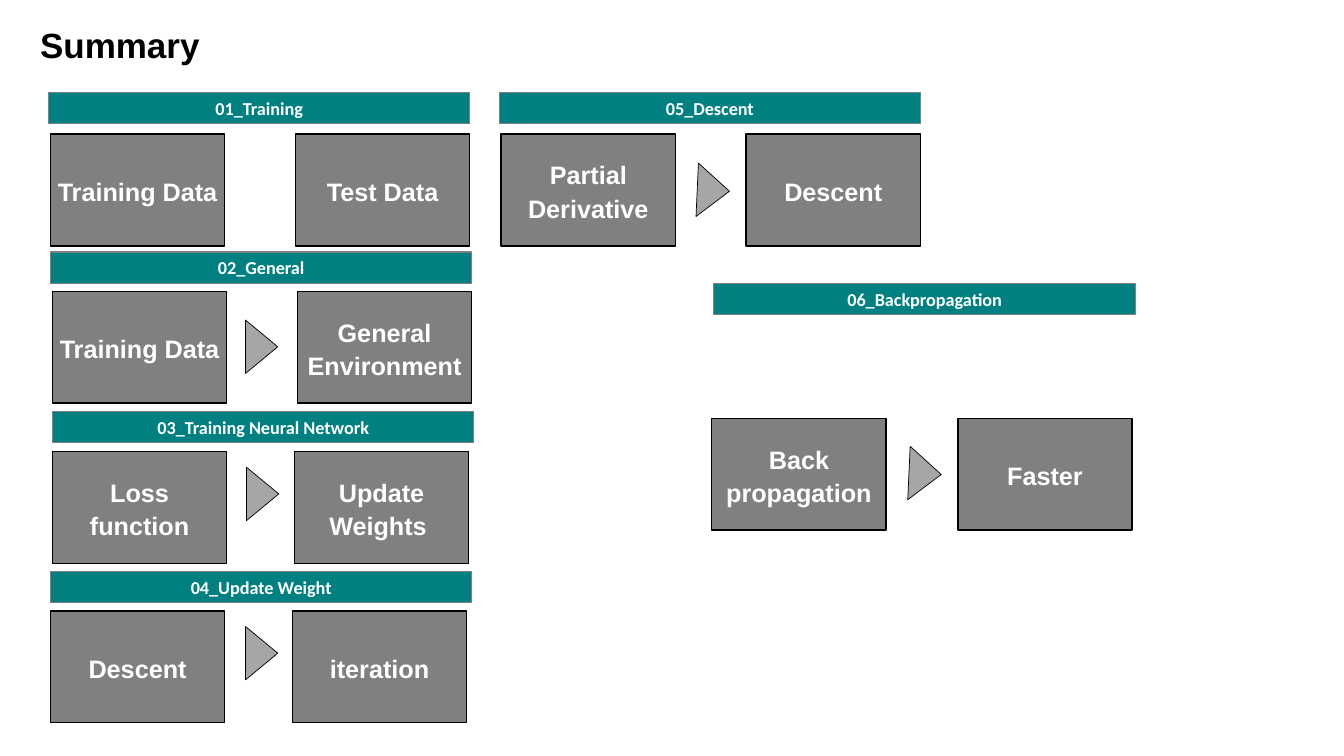
"""Build the summary slide: six titled steps, each with a pair of boxes."""
from dataclasses import dataclass
from typing import Optional

from pptx import Presentation
from pptx.dml.color import RGBColor as Rgb
from pptx.enum.shapes import MSO_SHAPE as Kind
from pptx.enum.text import MSO_ANCHOR as Anchor, PP_ALIGN as Align
from pptx.util import Inches, Pt

BOX_W, BOX_H, BOX_PAD = 1.73, 1.11, (0.05, 0.04)
BAR_W, BAR_H, BAR_PAD = 4.18, 0.31, (0.04, 0)
TIP_W, TIP_H = 0.53, 0.32
GRAY, TEAL, PALE = "808080", "008080", "A6A6A6"
BLACK, WHITE = "000000", "FFFFFF"


@dataclass
class Tip:
    left: float
    top: float
    turn: float = 270


@dataclass
class Step:
    title: str
    bar: tuple[float, float]
    names: tuple[str, str]
    lefts: tuple[float, float]
    top: float
    tip: Optional[Tip] = None


STEPS = [
    Step("01_Training", (0.48, 0.92), ("Training Data", "Test Data"),
         (0.5, 2.93), 1.33),
    Step("02_General", (0.5, 2.5), ("Training Data", "General Environment"),
         (0.52, 2.95), 2.89, Tip(2.33, 3.28)),
    Step("03_Training Neural Network", (0.52, 4.08),
         ("Loss function", "Update Weights "),
         (0.52, 2.92), 4.48, Tip(2.34, 4.74)),
    Step("04_Update Weight", (0.5, 5.67), ("Descent", "iteration"),
         (0.5, 2.9), 6.06, Tip(2.33, 6.32)),
    Step("05_Descent", (4.95, 0.92), ("Partial Derivative", "Descent"),
         (4.97, 7.4), 1.33, Tip(6.81, 1.73, 272.6)),
    Step("06_Backpropagation", (7.08, 2.81), ("Back propagation", "Faster"),
         (7.06, 9.5), 4.15, Tip(8.91, 4.54, 272.6)),
]


def color(code: str) -> Rgb:
    """Turn a hex string into a colour."""
    return Rgb.from_string(code)


def add_form(slide, kind: Kind, left: float, top: float, wide: float,
             high: float, fill: str, edge: str, width: float):
    """Add a filled and outlined preset shape."""
    form = slide.shapes.add_shape(
        kind, Inches(left), Inches(top), Inches(wide), Inches(high))
    form.shadow.inherit = False
    form.fill.solid()
    form.fill.fore_color.rgb = color(fill)
    form.line.color.rgb = color(edge)
    form.line.width = Pt(width)
    return form


def set_text(form, text: str, font: str, size: float, ink: str,
             align: Align, space: float,
             pad: tuple[float, float] = (0.1, 0.05)) -> None:
    """Write one bold paragraph into a shape."""
    frame = form.text_frame
    frame.text = text
    frame.word_wrap = True
    frame.vertical_anchor = Anchor.MIDDLE
    frame.margin_left = frame.margin_right = Inches(pad[0])
    frame.margin_top = frame.margin_bottom = Inches(pad[1])
    para = frame.paragraphs[0]
    para.alignment = align
    para.line_spacing = space
    face = para.runs[0].font
    face.name, face.size, face.bold = font, Pt(size), True
    face.color.rgb = color(ink)


def add_title(slide, text: str) -> None:
    """Add the slide heading."""
    box = slide.shapes.add_textbox(
        Inches(0.3), Inches(0.25), Inches(10.24), Inches(0.43))
    set_text(box, text, "Arial", 25, BLACK, Align.LEFT, 0.9)


def add_step(slide, step: Step) -> None:
    """Draw the bar, the two boxes and the arrow of a step."""
    bar = add_form(slide, Kind.RECTANGLE, *step.bar, BAR_W, BAR_H,
                   TEAL, GRAY, 0.75)
    set_text(bar, step.title, "Calibri", 13, WHITE, Align.CENTER, 1.0, BAR_PAD)
    for name, left in zip(step.names, step.lefts):
        box = add_form(slide, Kind.RECTANGLE, left, step.top, BOX_W, BOX_H,
                       GRAY, BLACK, 1)
        set_text(box, name, "Arial", 18, WHITE, Align.CENTER, 1.1, BOX_PAD)
    if step.tip:
        tip = add_form(slide, Kind.FLOWCHART_MERGE, step.tip.left,
                       step.tip.top, TIP_W, TIP_H, PALE, BLACK, 0.5)
        tip.rotation = step.tip.turn


def main() -> None:
    """Build and save the deck."""
    deck = Presentation()
    deck.slide_width, deck.slide_height = Inches(13.33), Inches(7.5)
    slide = deck.slides.add_slide(deck.slide_layouts[6])
    add_title(slide, "Summary")
    for step in STEPS:
        add_step(slide, step)
    deck.save("out.pptx")


if __name__ == "__main__":
    main()
